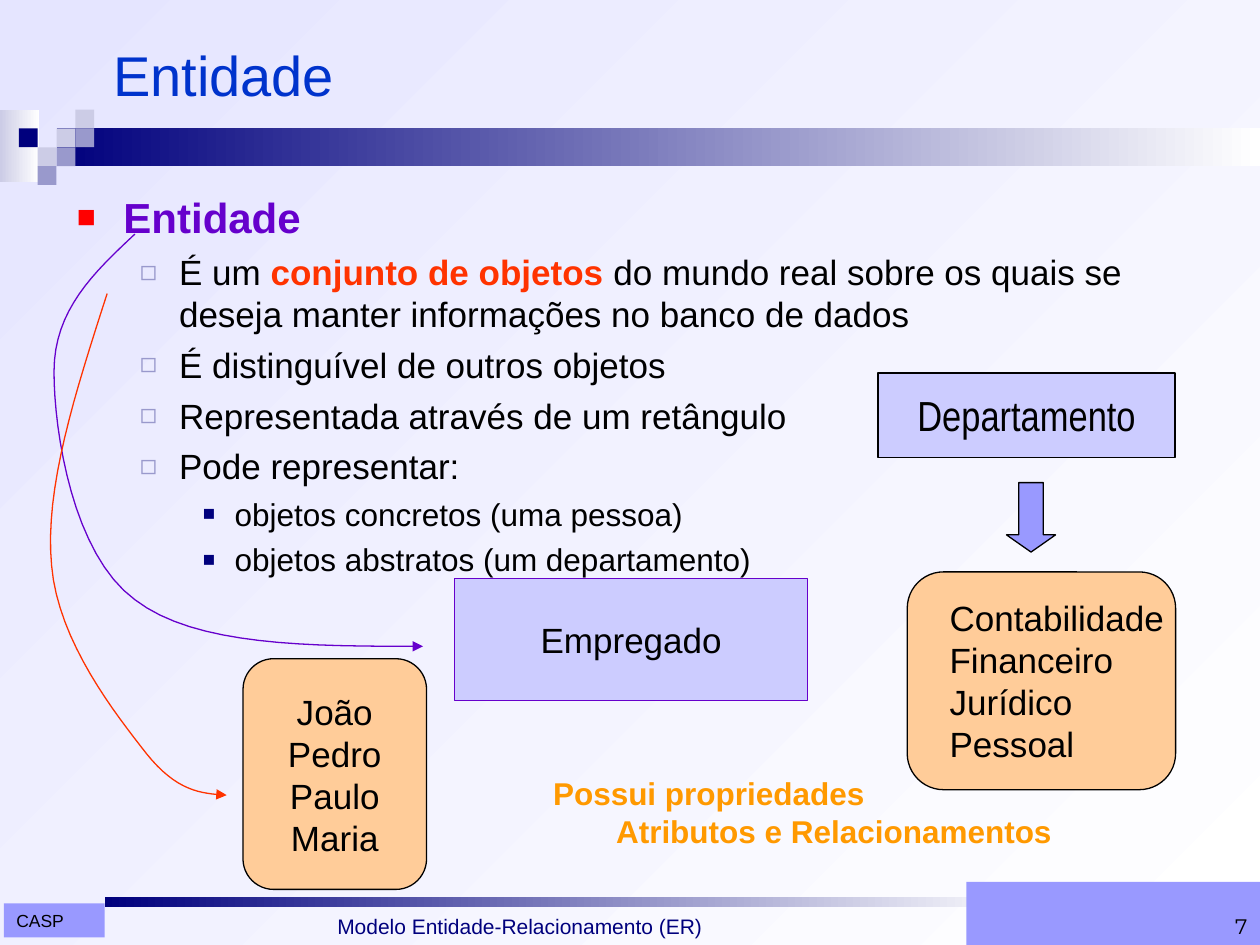
from lxml import etree
from pptx import Presentation
from pptx.dml.color import RGBColor
from pptx.enum.shapes import MSO_SHAPE
from pptx.enum.text import MSO_ANCHOR, PP_ALIGN
from pptx.oxml.ns import qn
from pptx.util import Cm, Pt

RECT, ROUND, DOWN = MSO_SHAPE.RECTANGLE, MSO_SHAPE.ROUNDED_RECTANGLE, MSO_SHAPE.DOWN_ARROW
TOP, MIDDLE, BOTTOM = MSO_ANCHOR.TOP, MSO_ANCHOR.MIDDLE, MSO_ANCHOR.BOTTOM
LEFT, CENTER, RIGHT = PP_ALIGN.LEFT, PP_ALIGN.CENTER, PP_ALIGN.RIGHT

COLORS = {
    "black": "000000", "white": "FFFFFF", "navy": "00007D", "mist": "CCCCE6",
    "slate": "9999CC", "sky": "E5E5FF", "lilac": "CCCCFF", "violet": "9999FF",
    "purple": "6600CC", "blue": "0033CC", "red": "FF0000", "scarlet": "FF3300",
    "orange": "FF9900", "peach": "FFCC99",
}

CELL, MOSAIC_LEFT, MOSAIC_TOP = 0.38, 0.38, 2.21
MOSAIC = [  # column, row, colour
    (2, 1, "mist"), (3, 0, "mist"), (3, 1, "slate"), (1, 2, "mist"),
    (0, 1, "navy"), (2, 2, "slate"), (1, 3, "slate"),
]
BANDS = [
    ((0, 2.21, 0.79, 1.47), "mist"),
    ((1.14, 2.59, 24.26, 0.76), "navy"),
    ((2.11, 18.08, 18.75, 0.2), "navy"),
]
LEVELS = [
    dict(margin=0.94, hang=0.94, before=6, size=24, bullet=("■", "red", 75)),
    dict(margin=2.06, hang=0.79, before=5, size=20, bullet=("◻", "slate", 80)),
    dict(margin=3.18, hang=0.64, before=4.5, size=18, bullet=("■", "navy", 65)),
]
BODY = [
    (0, [("Entidade", "purple", True)]),
    (1, [("É um ", "black", False), ("conjunto de objetos", "scarlet", True),
         (" do mundo real sobre os quais se deseja manter informações no banco de dados",
          "black", False)]),
    (1, [("É distinguível de outros objetos", "black", False)]),
    (1, [("Representada através de um retângulo", "black", False)]),
    (1, [("Pode representar:", "black", False)]),
    (2, [("objetos concretos (uma pessoa)", "black", False)]),
    (2, [("objetos abstratos (um departamento)", "black", False)]),
]
BOXES = [
    (RECT, (17.7, 7.52, 5.99, 1.7), "lilac", "black", ["Departamento"],
     dict(size=24, font="Arial Narrow", align=CENTER)),
    (ROUND, (18.29, 11.53, 5.41, 4.39), "peach", "black",
     ["Contabilidade", "Financeiro", "Jurídico", "Pessoal"], dict(inset=(0.64, 0))),
    (RECT, (9.17, 11.66, 7.11, 2.46), "lilac", "purple", ["Empregado"], dict(align=CENTER)),
    (ROUND, (4.9, 13.28, 3.7, 4.65), "peach", "black",
     ["João", "Pedro", "Paulo", "Maria"], dict(align=CENTER)),
    (DOWN, (20.29, 9.73, 0.99, 1.4), "violet", "black", [], {}),
]
CURVES = [  # start point, then control, control, end
    ("purple", [(2.72, 4.72), (1.9, 5.49), (1.09, 6.25), (1.09, 7.49), (1.09, 8.71),
                (1.47, 11.18), (2.72, 12.09), (3.94, 13.03), (6.25, 13.03), (8.53, 13.03)]),
    ("scarlet", [(2.16, 5.92), (1.52, 7.9), (0.89, 9.86), (1.04, 11.4), (1.17, 12.95),
                 (2.36, 14.43), (2.95, 15.19), (3.56, 15.95), (4.04, 16), (4.57, 16.03)]),
]
CURVE_STEPS = 16


def rgb(name):
    return RGBColor.from_string(COLORS[name])


def place(s, box):
    s.left, s.top, s.width, s.height = (Cm(v) for v in box)


def paint_gradient(fill, start, angle):
    fill.gradient()
    fill.gradient_angle = angle
    for stop, name, position in zip(fill.gradient_stops, (start, "white"), (0, 1)):
        stop.color.rgb = rgb(name)
        stop.position = position


def add_block(slide, kind, box, fill=None, line=None):
    sp = slide.shapes.add_shape(kind, *(Cm(v) for v in box))
    sp.shadow.inherit = False
    if fill:
        sp.fill.solid()
        sp.fill.fore_color.rgb = rgb(fill)
    if line:
        sp.line.color.rgb = rgb(line)
        sp.line.width = Pt(0.75)
    else:
        sp.line.fill.background()
    return sp


def add_bullet(pPr, char, color, percent):
    clr = etree.SubElement(pPr, qn("a:buClr"))
    etree.SubElement(clr, qn("a:srgbClr"), val=COLORS[color])
    etree.SubElement(pPr, qn("a:buSzPct"), val=str(percent * 1000))
    etree.SubElement(pPr, qn("a:buFont"), typeface="Arial")
    etree.SubElement(pPr, qn("a:buChar"), char=char)


def write(s, paragraphs, size=20, font="Arial", color="black", bold=False, align=LEFT,
          anchor=TOP, wrap=True, inset=(0.25, 0.25), formats=None):
    """Fill a shape with paragraphs, each a string or a list of (text, colour, bold) runs."""
    tf = s.text_frame
    tf.word_wrap, tf.vertical_anchor = wrap, anchor
    tf.margin_left, tf.margin_right = (Cm(v) for v in inset)
    tf.margin_top = tf.margin_bottom = Cm(0.13)
    for i, runs in enumerate(paragraphs):
        p = tf.paragraphs[0] if i == 0 else tf.add_paragraph()
        p.alignment = align
        form = formats[i] if formats else {}
        if form:
            pPr = p._p.get_or_add_pPr()
            pPr.set("marL", str(Cm(form["margin"])))
            pPr.set("indent", str(-Cm(form.get("hang", 0))))
            if "bullet" in form:
                add_bullet(pPr, *form["bullet"])
        if i and "before" in form:
            p.space_before = Pt(form["before"])
        for text, tone, strong in [(runs, color, bold)] if isinstance(runs, str) else runs:
            r = p.add_run()
            r.text = text
            r.font.size, r.font.name, r.font.bold = Pt(form.get("size", size)), font, strong
            r.font.color.rgb = rgb(tone)


def add_text(slide, box, paragraphs, **form):
    write(slide.shapes.add_textbox(*(Cm(v) for v in box)), paragraphs, **form)


def bezier(a, b, c, d, t):
    u = 1 - t
    return tuple(Cm(u**3 * i + 3 * u * u * t * j + 3 * u * t * t * k + t**3 * m)
                 for i, j, k, m in zip(a, b, c, d))


def add_curve(slide, color, points):
    builder = slide.shapes.build_freeform(*(Cm(v) for v in points[0]))
    builder.add_line_segments(
        [bezier(*points[i:i + 4], step / CURVE_STEPS)
         for i in range(0, len(points) - 1, 3) for step in range(1, CURVE_STEPS + 1)],
        close=False)
    sp = builder.convert_to_shape()
    sp.shadow.inherit = False
    sp.fill.background()
    sp.line.color.rgb = rgb(color)
    sp.line.width = Pt(0.75)
    etree.SubElement(sp.line._get_or_add_ln(), qn("a:tailEnd"), type="triangle")


def main():
    prs = Presentation()
    prs.slide_width, prs.slide_height = Cm(25.4), Cm(19.05)
    slide = prs.slides.add_slide(prs.slide_layouts[5])
    paint_gradient(slide.background.fill, "sky", 315)

    for box, color in BANDS:
        paint_gradient(add_block(slide, RECT, box).fill, color, 0)
    for col, row, color in MOSAIC:
        add_block(slide, RECT, (MOSAIC_LEFT + col * CELL, MOSAIC_TOP + row * CELL, CELL, CELL), color)

    title = slide.shapes.title
    place(title, (2.03, 0.56, 22.89, 1.85))
    write(title, ["Entidade"], size=32, color="blue", anchor=MIDDLE)
    add_text(slide, (1.3, 3.73, 22.89, 13.41), [runs for _, runs in BODY],
             formats=[LEVELS[level] for level, _ in BODY])

    for kind, box, fill, line, lines, form in BOXES:
        sp = add_block(slide, kind, box, fill, line)
        if kind == DOWN:
            sp.adjustments[1] = 0.35
        if lines:
            write(sp, lines, anchor=MIDDLE, wrap=False, **form)
    for color, points in CURVES:
        add_curve(slide, color, points)
    add_text(slide, (9.63, 15.47, 12.01, 1.88),
             ["Possui propriedades", "Atributos e Relacionamentos"],
             size=18, color="orange", bold=True, formats=[dict(margin=1.27), dict(margin=2.54)])

    write(add_block(slide, RECT, (0.08, 18.21, 2.03, 0.69), "violet"), ["CASP"], size=10)
    add_text(slide, (6.55, 17.73, 11.73, 1.32), ["Modelo Entidade-Relacionamento (ER)"],
             size=12, color="navy", anchor=BOTTOM)
    write(add_block(slide, RECT, (19.48, 17.78, 5.92, 1.27), "violet"), ["7"],
          size=12, font="Montserrat", align=RIGHT, anchor=BOTTOM)
    prs.save("out.pptx")


if __name__ == "__main__":
    main()
